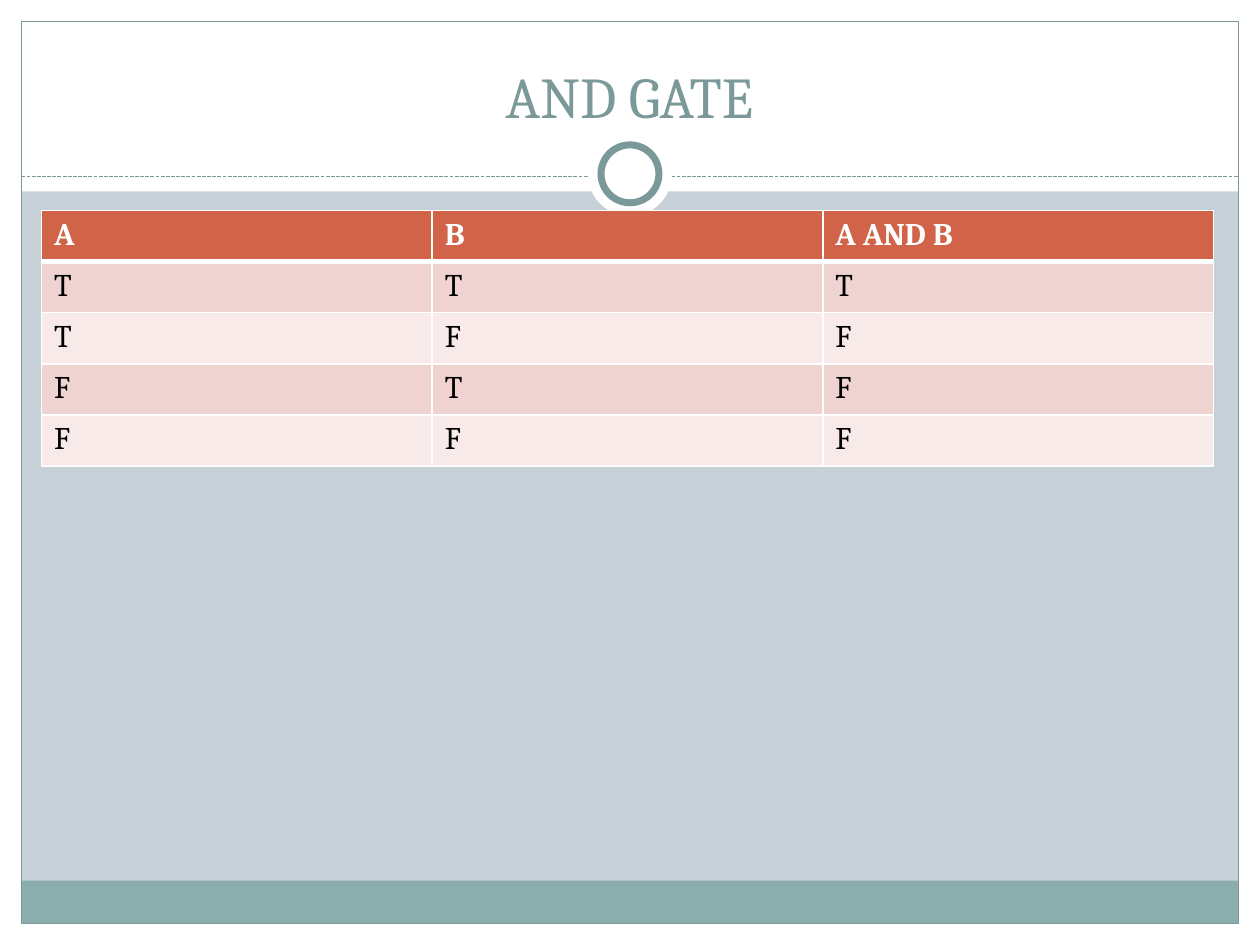
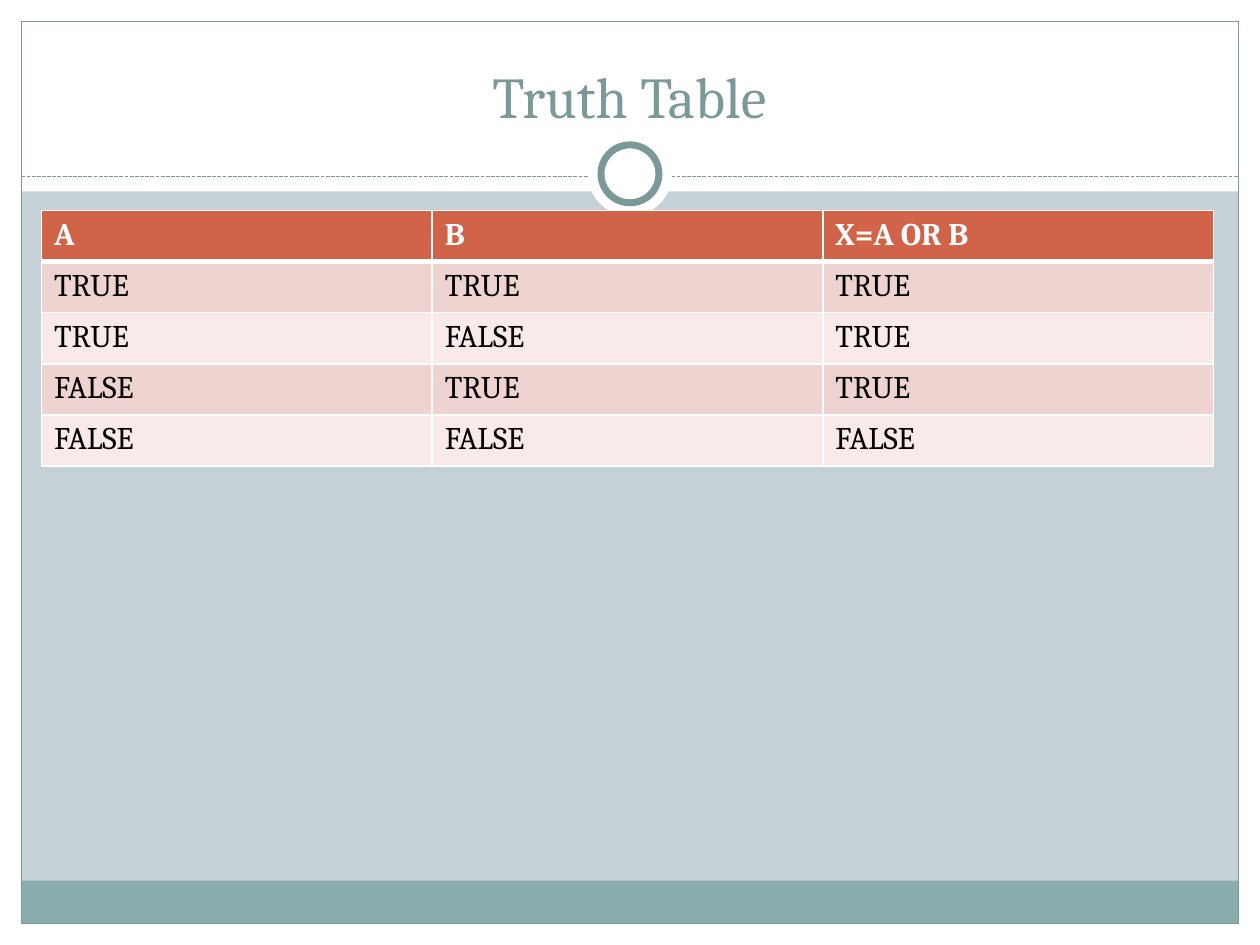
import pptx
import pptx.dml.color
import pptx.enum.dml
import pptx.enum.shapes
import pptx.enum.text
import pptx.oxml
import pptx.oxml.ns
import pptx.util

Inches = pptx.util.Inches
Pt = pptx.util.Pt
Shapes = pptx.enum.shapes.MSO_SHAPE

WIDTH, HEIGHT = 10, 7.5
MARGIN = 0.17
INNER_WIDTH = WIDTH - 2 * MARGIN
FRAME_BOTTOM = HEIGHT - MARGIN
RULE_Y = 1.4
RING_Y = 1.38
FONT = "Cambria"
WHITE, BLACK = "FFFFFF", "000000"
BACKGROUND, FOOTER, ACCENT = "C5D1D7", "8CADAE", "7C999A"
HEADER, BANDS = "D16349", ("EED3D0", "F7EAE9")

TRUTH_TABLES = {
    "AND GATE": [
        ("A", "B", "A AND B"),
        ("T", "T", "T"),
        ("T", "F", "F"),
        ("F", "T", "F"),
        ("F", "F", "F"),
    ],
    "Truth Table": [
        ("A", "B", "X=A OR B"),
        ("TRUE", "TRUE", "TRUE"),
        ("TRUE", "FALSE", "TRUE"),
        ("FALSE", "TRUE", "TRUE"),
        ("FALSE", "FALSE", "FALSE"),
    ],
}


def color(value):
    return pptx.dml.color.RGBColor.from_string(value)


def paint(fill, value):
    fill.solid()
    fill.fore_color.rgb = color(value)


def add_block(page, kind, place, fill=None, line=None, line_width=0.75):
    block = page.shapes.add_shape(kind, *map(Inches, place))
    block.shadow.inherit = False
    if fill:
        paint(block.fill, fill)
    else:
        block.fill.background()
    if line:
        block.line.color.rgb = color(line)
        block.line.width = Pt(line_width)
    else:
        block.line.fill.background()


def add_circle(page, diameter, **style):
    place = (WIDTH / 2 - diameter / 2, RING_Y - diameter / 2, diameter, diameter)
    add_block(page, Shapes.OVAL, place, WHITE, **style)


def add_dashed_rule(page):
    ends = (MARGIN, RULE_Y, WIDTH - MARGIN, RULE_Y)
    rule = page.shapes.add_connector(
        pptx.enum.shapes.MSO_CONNECTOR.STRAIGHT, *map(Inches, ends))
    rule.line.color.rgb = color(ACCENT)
    rule.line.width = Pt(0.75)
    rule.line.dash_style = pptx.enum.dml.MSO_LINE.SQUARE_DOT
    effects = pptx.oxml.parse_xml(f"<a:effectLst {pptx.oxml.ns.nsdecls('a')}/>")
    rule._element.spPr.append(effects)


def add_frame(page):
    paint(page.background.fill, BACKGROUND)
    for edge in (
        (0, FRAME_BOTTOM, WIDTH, MARGIN),
        (0, 0, WIDTH, 1.52),
        (0, 0, MARGIN, HEIGHT),
        (WIDTH - MARGIN, 0, MARGIN, HEIGHT),
    ):
        add_block(page, Shapes.RECTANGLE, edge, WHITE)
    add_block(page, Shapes.RECTANGLE, (MARGIN, 6.99, INNER_WIDTH, 0.34), FOOTER)
    add_block(page, Shapes.RECTANGLE,
              (MARGIN, MARGIN, INNER_WIDTH, FRAME_BOTTOM - MARGIN), line=ACCENT)
    add_dashed_rule(page)
    add_circle(page, 0.67)
    add_circle(page, 0.46, line=ACCENT, line_width=4)


def write(frame, text, value, **formats):
    para = frame.paragraphs[0]
    span = para.add_run()
    span.text = text
    span.font.color.rgb = color(value)
    for name, setting in {"name": FONT, **formats}.items():
        setattr(span.font, name, setting)
    return para


def add_title(page, text):
    box = page.shapes.add_textbox(*map(Inches, (0.33, 0.25, 9.33, 0.83)))
    frame = box.text_frame
    frame.word_wrap = True
    frame.vertical_anchor = pptx.enum.text.MSO_ANCHOR.BOTTOM
    para = write(frame, text, ACCENT, size=Pt(33))
    para.alignment = pptx.enum.text.PP_ALIGN.CENTER


def set_borders(cell, **widths):
    properties = cell._tc.get_or_add_tcPr()
    for index, side in enumerate("LRTB"):
        border = pptx.oxml.parse_xml(
            f'<a:ln{side} {pptx.oxml.ns.nsdecls("a")} w="{Pt(widths.get(side, 1))}">'
            f'<a:solidFill><a:srgbClr val="{WHITE}"/></a:solidFill></a:ln{side}>')
        properties.insert(index, border)


def add_truth_table(page, rows):
    place = map(Inches, (0.33, 1.67, 9.3, 2.03))
    table = page.shapes.add_table(len(rows), len(rows[0]), *place).table
    for row_index, row in enumerate(rows):
        is_header = row_index == 0
        fill = HEADER if is_header else BANDS[(row_index - 1) % 2]
        borders = {0: {"B": 3}, 1: {"T": 3}}.get(row_index, {})
        for column_index, text in enumerate(row):
            cell = table.cell(row_index, column_index)
            paint(cell.fill, fill)
            set_borders(cell, **borders)
            write(cell.text_frame, text, WHITE if is_header else BLACK,
                  size=Pt(18), bold=is_header)


def main():
    deck = pptx.Presentation()
    deck.slide_width, deck.slide_height = Inches(WIDTH), Inches(HEIGHT)
    for title, rows in TRUTH_TABLES.items():
        page = deck.slides.add_slide(deck.slide_layouts[6])
        add_frame(page)
        add_title(page, title)
        add_truth_table(page, rows)
    deck.save("out.pptx")


if __name__ == "__main__":
    main()
